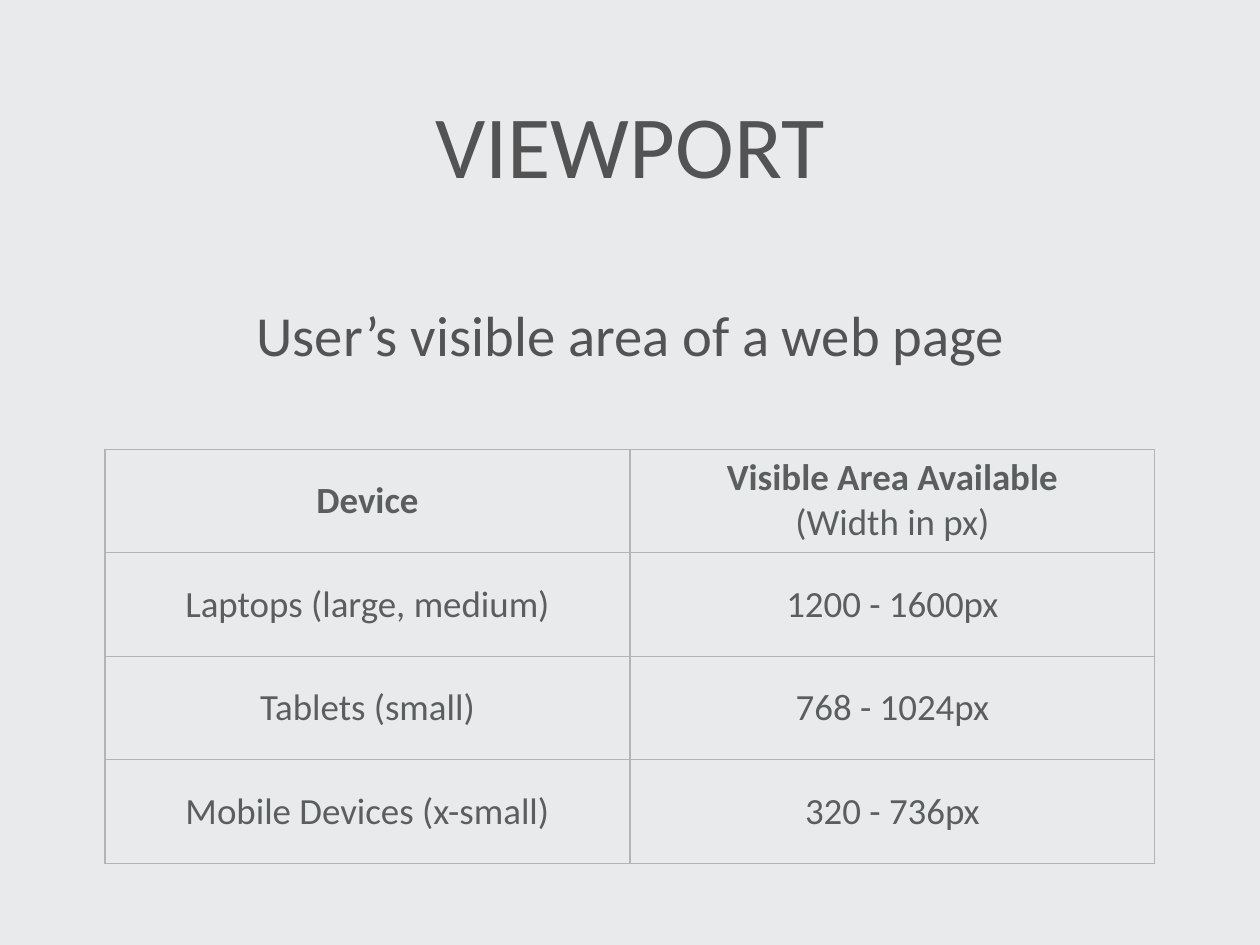
from lxml.etree import SubElement
from pptx import Presentation
from pptx.dml.color import RGBColor
from pptx.enum.text import MSO_ANCHOR, PP_ALIGN
from pptx.oxml.ns import qn
from pptx.util import Inches, Pt

W, H = Inches(14.22), Inches(10.67)
INSET = Inches(0.06)
DARK, GREY, RULE, PAPER = "535353", "5A5F5E", "B4B4B4", "E8EAEB"


def rgb(value):
    return RGBColor.from_string(value)


def write(tf, text, size, color=DARK, bold_lines=0, spacing=None, before=0):
    """Write centred lines, the first bold_lines of them in bold."""
    tf.word_wrap = True
    for i, line in enumerate(text.split("\n")):
        p = tf.paragraphs[0] if i == 0 else tf.add_paragraph()
        p.alignment = PP_ALIGN.CENTER
        p.line_spacing = spacing
        p.space_before = Pt(before)
        r = p.add_run()
        r.text = line
        r.font.name = "Calibri"
        r.font.size = Pt(size)
        r.font.bold = i < bold_lines
        r.font.color.rgb = rgb(color)


prs = Presentation()
prs.slide_width, prs.slide_height = W, H
s = prs.slides.add_slide(prs.slide_layouts[5])
s.background.fill.solid()
s.background.fill.fore_color.rgb = rgb(PAPER)

# Title and definition share one centred column
col_w = Inches(13.44)
col_x = (W - col_w) // 2
title = s.shapes.title
title.left, title.top, title.width, title.height = col_x, Inches(0.28), col_w, Inches(2.67)
definition = s.shapes.add_textbox(col_x, Inches(2.99), col_w, Inches(1.4))
for sp in (title, definition):
    tf = sp.text_frame
    tf.vertical_anchor = MSO_ANCHOR.MIDDLE
    tf.margin_left = tf.margin_right = tf.margin_top = tf.margin_bottom = INSET
write(title.text_frame, "VIEWPORT", 72)
write(definition.text_frame, "User’s visible area of a web page", 46, spacing=1.2, before=46)

# Device table: two equal columns, four equal rows
rows = [
    ("Device", "Visible Area Available\n(Width in px)"),
    ("Laptops (large, medium)", "1200 - 1600px"),
    ("Tablets (small)", "768 - 1024px"),
    ("Mobile Devices (x-small)", "320 - 736px"),
]
table_w, row_h = W * 5 // 6, Inches(1.17)
table = s.shapes.add_table(len(rows), 2, (W - table_w) // 2, Inches(5.07),
                           table_w, row_h * len(rows)).table
table.horz_banding = False
for i, row in enumerate(rows):
    table.rows[i].height = row_h
    for j, text in enumerate(row):
        cell = table.cell(i, j)
        cell.vertical_anchor = MSO_ANCHOR.MIDDLE
        cell.margin_left = cell.margin_right = cell.margin_top = cell.margin_bottom = INSET
        write(cell.text_frame, text, 30, color=GREY, bold_lines=1 if i == 0 else 0)

        # Borders come before the fill in the cell properties
        tc_pr = cell._tc.get_or_add_tcPr()
        for side in ("a:lnL", "a:lnR", "a:lnT", "a:lnB"):
            ln = SubElement(tc_pr, qn(side), w=str(Pt(1)))
            SubElement(SubElement(ln, qn("a:solidFill")), qn("a:srgbClr"), val=RULE)
        cell.fill.background()

prs.save("out.pptx")
